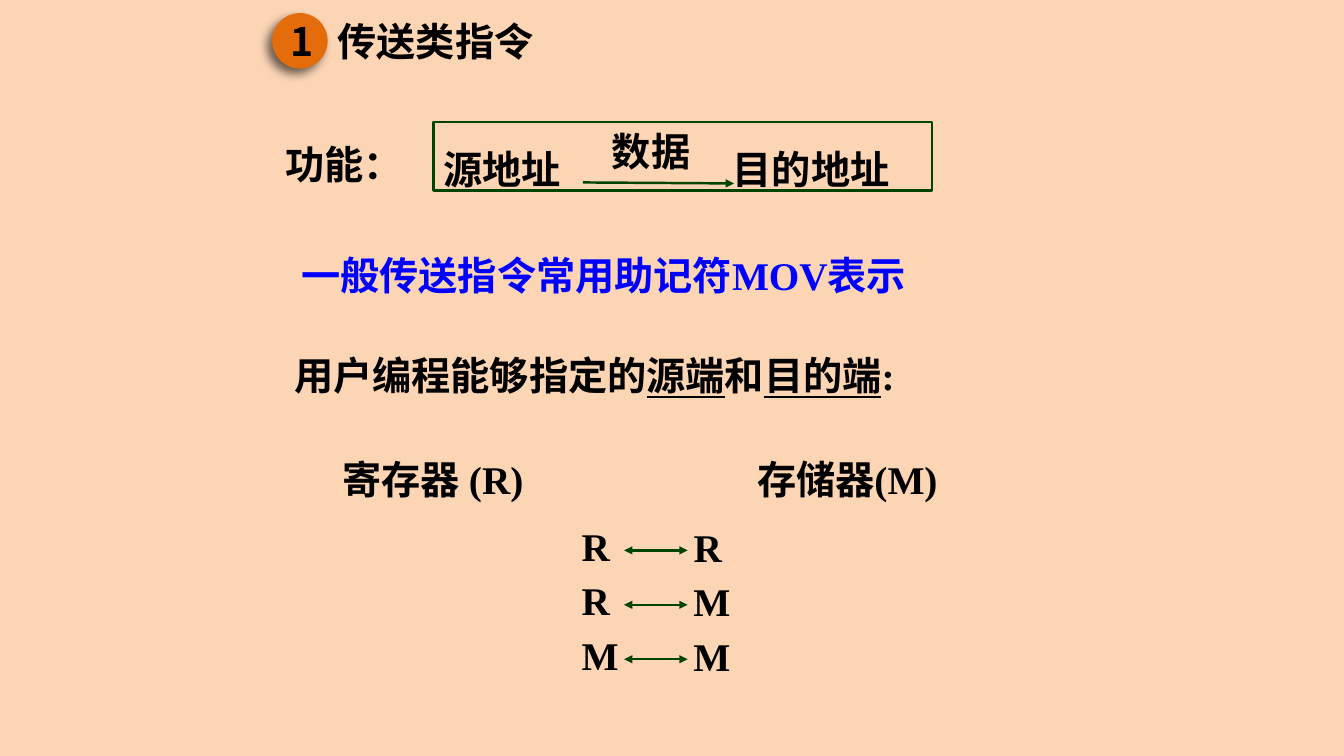
from dataclasses import dataclass

from lxml import etree
from pptx import Presentation
from pptx.dml.color import RGBColor
from pptx.enum.shapes import MSO_CONNECTOR, MSO_SHAPE
from pptx.enum.text import MSO_ANCHOR, PP_ALIGN
from pptx.oxml.ns import qn
from pptx.util import Inches, Pt

RECT = MSO_SHAPE.RECTANGLE
OVAL = MSO_SHAPE.OVAL
STRAIGHT = MSO_CONNECTOR.STRAIGHT
TOP = MSO_ANCHOR.TOP
MIDDLE = MSO_ANCHOR.MIDDLE
LEFT = PP_ALIGN.LEFT
CENTER = PP_ALIGN.CENTER


@dataclass(frozen=True)
class Theme:
    background: str = "FCD5B5"
    ink: str = "000000"
    accent: str = "0000FF"
    line: str = "004400"
    badge: str = "E46C0A"
    font: str = "Times New Roman"
    badge_font: str = "Noto Sans CJK SC"
    size: float = 28
    border: float = 1.5
    arrow: float = 1.75


class SlideBuilder:
    def __init__(self, slide, theme):
        self.s = slide
        self.theme = theme
        fill = slide.background.fill
        fill.solid()
        fill.fore_color.rgb = RGBColor.from_string(theme.background)

    def add_runs(self, sp, runs, color=None, font=None, align=LEFT,
                 anchor=TOP, wrap=True, tab=None, spacing=None):
        tf = sp.text_frame
        tf.word_wrap = wrap
        tf.vertical_anchor = anchor
        p = tf.paragraphs[0]
        p.alignment = align
        if spacing:
            p.line_spacing = spacing
        if tab:
            tabs = etree.SubElement(p._p.get_or_add_pPr(), qn("a:tabLst"))
            etree.SubElement(tabs, qn("a:tab"), pos=str(Inches(tab)), algn="l")
        for text, underline in runs:
            r = p.add_run()
            r.text = text
            r.font.name = font or self.theme.font
            r.font.size = Pt(self.theme.size)
            r.font.bold = True
            r.font.underline = underline
            r.font.color.rgb = RGBColor.from_string(color or self.theme.ink)

    def text(self, x, y, w, runs, **style):
        sp = self.s.shapes.add_textbox(Inches(x), Inches(y), Inches(w), Inches(0.57))
        self.add_runs(sp, runs, **style)

    def shape(self, kind, x, y, w, h, runs, fill=None, line=None, **style):
        sp = self.s.shapes.add_shape(kind, Inches(x), Inches(y), Inches(w), Inches(h))
        sp.shadow.inherit = False
        if fill:
            sp.fill.solid()
            sp.fill.fore_color.rgb = RGBColor.from_string(fill)
        else:
            sp.fill.background()
        if line:
            sp.line.color.rgb = RGBColor.from_string(line)
            sp.line.width = Pt(self.theme.border)
        else:
            sp.line.fill.background()
        self.add_runs(sp, runs, **style)
        return sp

    def badge(self, x, y, d, label):
        sp = self.shape(OVAL, x, y, d, d, [(label, False)], fill=self.theme.badge,
                        font=self.theme.badge_font, align=CENTER, anchor=MIDDLE)
        effects = sp._element.spPr.find(qn("a:effectLst"))
        shadow = etree.SubElement(effects, qn("a:outerShdw"), blurRad=str(Pt(7)),
                                  dist=str(Pt(5)), dir=str(135 * 60000), rotWithShape="0")
        color = etree.SubElement(shadow, qn("a:srgbClr"), val=self.theme.ink)
        etree.SubElement(color, qn("a:alpha"), val="57000")

    def arrow(self, x1, y1, x2, y2, ends):
        c = self.s.shapes.add_connector(STRAIGHT, Inches(x1), Inches(y1),
                                        Inches(x2), Inches(y2))
        c.line.color.rgb = RGBColor.from_string(self.theme.line)
        c.line.width = Pt(self.theme.arrow)
        ln = c._element.spPr.find(qn("a:ln"))
        for end in ends:
            etree.SubElement(ln, qn(f"a:{end}"), type="triangle")
        etree.SubElement(c._element.spPr, qn("a:effectLst"))


def main():
    prs = Presentation()
    prs.slide_width = Inches(13.33)
    prs.slide_height = Inches(7.5)
    theme = Theme()
    b = SlideBuilder(prs.slides.add_slide(prs.slide_layouts[6]), theme)

    b.text(3.25, 0.12, 2.17, [("传送类指令", False)], wrap=False)
    b.shape(RECT, 4.3, 1.21, 4.94, 0.68, [("源地址\t目的地址", False)],
            line=theme.line, tab=2.87, spacing=1.4)
    b.text(5.97, 1.21, 1.42, [("数据", False)])
    b.arrow(5.78, 1.81, 7.28, 1.82, ["tailEnd"])
    b.text(2.89, 2.44, 6.38, [("一般传送指令常用助记符MOV表示", False)],
           color=theme.accent)
    b.text(2.73, 1.34, 1.66, [("功能：", False)])
    b.text(2.82, 3.44, 6.97, [("用户编程能够指定的", False), ("源端", True),
                              ("和", False), ("目的端", True), (":", False)])
    b.text(3.3, 4.47, 6.72, [("寄存器 (R)\t存储器(M)", False)], tab=4.11)

    widths = {"R": 0.49, "M": 0.57}
    for i, (source, target) in enumerate(["RR", "RM", "MM"]):
        y = 5.13 + 0.54 * i
        b.text(5.67, y, widths[source], [(source, False)], wrap=False)
        b.arrow(6.19, y + 0.33, 6.82, y + 0.33, ["headEnd", "tailEnd"])
        b.text(6.78, y + 0.01, widths[target], [(target, False)], wrap=False)

    b.badge(2.7, 0.13, 0.55, "1")
    prs.save("out.pptx")


if __name__ == "__main__":
    main()
